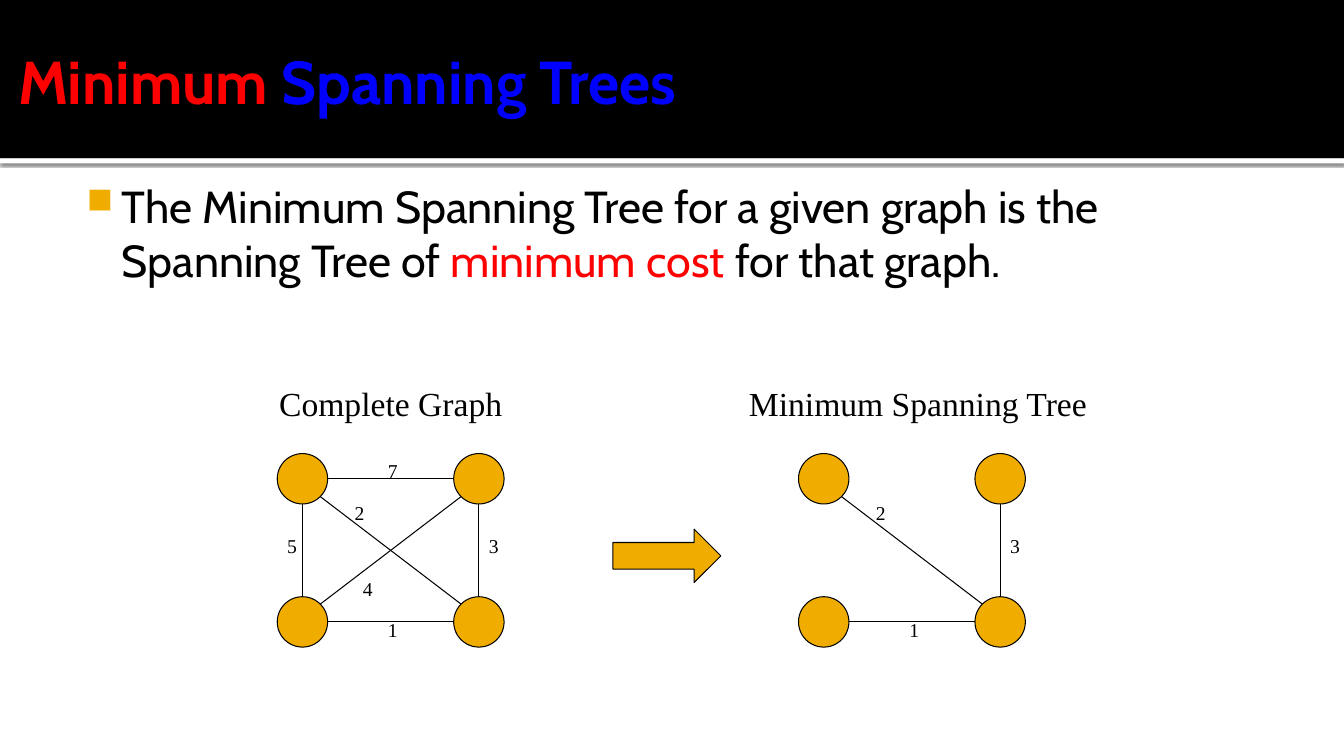
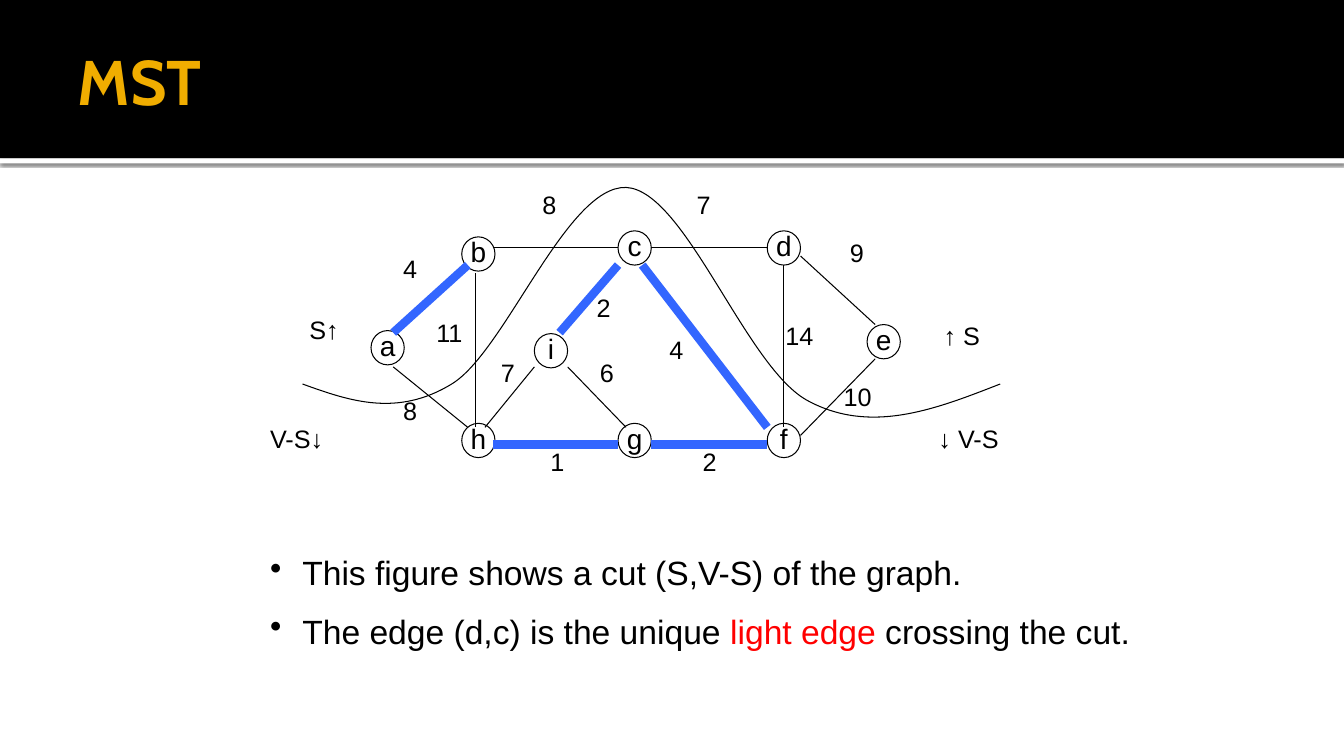
import lxml.etree
import pptx
import pptx.dml.color
import pptx.enum.shapes
import pptx.enum.text
import pptx.oxml.ns
import pptx.util

Inches = pptx.util.Inches
Pt = pptx.util.Pt
RGBColor = pptx.dml.color.RGBColor
SHAPE = pptx.enum.shapes.MSO_SHAPE
ANCHOR = pptx.enum.text.MSO_ANCHOR
ALIGN = pptx.enum.text.PP_ALIGN
AUTO_SIZE = pptx.enum.text.MSO_AUTO_SIZE
qn = pptx.oxml.ns.qn

BLACK = RGBColor(0x00, 0x00, 0x00)
WHITE = RGBColor(0xFF, 0xFF, 0xFF)
GOLD = RGBColor(0xF0, 0xAD, 0x00)
RED = RGBColor(0xFF, 0x00, 0x00)
BLUE = RGBColor(0x00, 0x00, 0xFF)
EDGE_BLUE = RGBColor(0x33, 0x66, 0xFF)

TITLE_FONT = "Cabin"
SERIF = "Times New Roman"
SANS = "Arial"

NODE_SIZE = 0.5
SQUARE_NODES = [(0, 0), (1.75, 0), (0, 1.42), (1.75, 1.42)]
SQUARE_EDGES = [
    (0, 1, "7", 1, 0),
    (0, 2, "5", 0, 0.75),
    (2, 3, "1", 1, 1.58),
    (1, 3, "3", 2, 0.75),
    (1, 2, "4", 0.75, 1.17),
    (0, 3, "2", 0.67, 0.42),
]

CUT_NODES = {
    "a": (1.18, 1.48), "b": (2.08, 0.55), "h": (2.08, 2.4),
    "c": (3.63, 0.49), "d": (5.11, 0.49), "e": (6.1, 1.42),
    "f": (5.11, 2.4), "g": (3.63, 2.4), "i": (2.8, 1.51),
}
TREE_EDGES = [
    (1.4, 1.5, 2.14, 0.83, "4", 1.4, 0.66),
    (2.39, 2.61, 3.63, 2.61, "1", 2.86, 2.58),
    (3.96, 2.61, 5.11, 2.61, "2", 4.37, 2.58),
    (3.87, 0.83, 5.11, 2.44, "4", 4.04, 1.47),
    (3.05, 1.5, 3.63, 0.83, "2", 3.32, 1.05),
]
OTHER_EDGES = [
    (1.4, 1.84, 2.14, 2.44, "8", 1.4, 2.07),
    (2.22, 0.91, 2.22, 2.44, "11", 1.73, 1.3),
    (2.39, 0.66, 3.63, 0.66, "8", 2.78, 0.03),
    (3.96, 0.66, 5.11, 0.66, "7", 4.31, 0.03),
    (5.27, 0.83, 5.27, 2.44, "14", 5.19, 1.33),
    (5.44, 0.74, 6.18, 1.42, "9", 5.83, 0.51),
    (5.44, 2.52, 6.18, 1.76, "10", 5.77, 1.93),
    (3.13, 1.84, 3.71, 2.44, "6", 3.35, 1.7),
    (2.31, 2.44, 2.8, 1.84, "7", 2.37, 1.7),
]
SIDE_LABELS = [
    ("S↑", 0.47, 1.27, 0.75),
    ("V-S↓", 0.08, 2.35, 1.12),
    ("↑ S", 6.76, 1.33, 0.67),
    ("↓ V-S", 6.71, 2.35, 1.04),
]
CUT_CURVE = [
    (0.5, 2.01),
    (0.97, 2.18), (1.44, 2.34), (1.98, 2.01),
    (2.51, 1.69), (3.12, 0.04), (3.71, 0.06),
    (4.3, 0.09), (4.9, 1.86), (5.52, 2.18),
    (6.14, 2.51), (6.78, 2.26), (7.42, 2.01),
]


def add_element(parent, tag, **attrs):
    """Append a drawing element with the given attributes."""
    el = lxml.etree.SubElement(parent, qn(tag))
    for name, value in attrs.items():
        el.set(name, str(value))
    return el


def add_shape(s, kind, left, top, width, height, fill=None, line=BLACK):
    """Add a flat preset shape with an optional fill and thin outline."""
    sp = s.shapes.add_shape(kind, Inches(left), Inches(top), Inches(width), Inches(height))
    sp.shadow.inherit = False
    if fill is None:
        sp.fill.background()
    else:
        sp.fill.solid()
        sp.fill.fore_color.rgb = fill
    if line is None:
        sp.line.fill.background()
    else:
        sp.line.color.rgb = line
        sp.line.width = Pt(0.75)
    return sp


def add_line(s, x1, y1, x2, y2, color=BLACK, width=0.75):
    """Add a straight edge between two points."""
    line = s.shapes.add_connector(
        pptx.enum.shapes.MSO_CONNECTOR.STRAIGHT,
        Inches(x1), Inches(y1), Inches(x2), Inches(y2))
    line.line.color.rgb = color
    line.line.width = Pt(width)
    add_element(line.element.spPr, "a:effectLst")


def set_font(p, name, size, color=BLACK, bold=False):
    """Format a whole paragraph."""
    p.font.name = name
    p.font.size = Pt(size)
    p.font.bold = bold
    p.font.color.rgb = color


def add_runs(p, runs):
    """Add (text, colour) runs to a paragraph."""
    for text, color in runs:
        r = p.add_run()
        r.text = text
        r.font.color.rgb = color


def add_label(s, text, left, top, width, height, font, size):
    """Add a one-line label that grows with its text."""
    tf = s.shapes.add_textbox(Inches(left), Inches(top), Inches(width), Inches(height)).text_frame
    tf.word_wrap = False
    tf.auto_size = AUTO_SIZE.SHAPE_TO_FIT_TEXT
    p = tf.paragraphs[0]
    p.text = text
    set_font(p, font, size)


def add_bullet(p, char, margin, hanging, color=None, percent=100):
    """Give a paragraph a bullet and a hanging indent."""
    pPr = p._p.get_or_add_pPr()
    pPr.set("marL", str(Inches(margin)))
    pPr.set("indent", str(-Inches(hanging)))
    if color is not None:
        add_element(add_element(pPr, "a:buClr"), "a:srgbClr", val=color)
    add_element(pPr, "a:buSzPct", val=percent * 1000)
    add_element(pPr, "a:buChar", char=char)


def move_bands_to_master(prs, s):
    """Draw the header band and its shadowed rule, and keep them on the master."""
    rule = add_shape(s, SHAPE.RECTANGLE, 0, 1.57, 13.33, 0.05, WHITE, None)
    effects = rule.element.spPr.find(qn("a:effectLst"))
    shadow = add_element(effects, "a:outerShdw", blurRad=Pt(2.5), dist=Pt(0.8),
                         dir=5400000, algn="t", rotWithShape=0)
    add_element(add_element(shadow, "a:srgbClr", val=BLACK), "a:alpha", val=60000)
    band = add_shape(s, SHAPE.RECTANGLE, 0, 0, 13.33, 1.57, BLACK, None)
    for i, sp in enumerate((rule, band)):
        sp.element.nvSpPr.cNvPr.set("id", str(20 + i))
        prs.slide_master.shapes.element.insert(2 + i, sp.element)


def add_title(s, left, size, runs):
    """Place and format the slide title in the header band."""
    title = s.shapes.title
    title.left, title.top = Inches(left), Inches(0.17)
    title.width, title.height = Inches(12), Inches(1.25)
    tf = title.text_frame
    tf.auto_size = AUTO_SIZE.NONE
    tf.vertical_anchor = ANCHOR.MIDDLE
    tf.margin_left = Inches(0.1)
    tf.margin_right = tf.margin_top = tf.margin_bottom = Inches(0.05)
    p = tf.paragraphs[0]
    p.alignment = ALIGN.LEFT
    set_font(p, TITLE_FONT, size, GOLD, True)
    add_runs(p, runs)


def add_definition(s, left, top, width, height):
    """Add the bulleted definition."""
    tf = s.shapes.add_textbox(Inches(left), Inches(top), Inches(width), Inches(height)).text_frame
    tf.word_wrap = True
    tf.margin_left = Inches(0.06)
    tf.margin_top = Inches(0.1)
    p = tf.paragraphs[0]
    add_bullet(p, "■", 0.48, 0.35, GOLD, 80)
    set_font(p, TITLE_FONT, 32)
    add_runs(p, [
        ("The Minimum Spanning Tree for a given graph is the Spanning Tree of ", BLACK),
        ("minimum cost ", RED),
        ("for that graph.", BLACK),
    ])


def add_square_graph(s, left, top, heading, heading_dx, heading_width, weights):
    """Draw a four-node graph with the edges of the given weights."""
    add_label(s, heading, left + heading_dx, top - 0.75, heading_width, 0.5, SERIF, 24)
    radius = NODE_SIZE / 2
    for dx, dy in SQUARE_NODES:
        add_shape(s, SHAPE.OVAL, left + dx, top + dy, NODE_SIZE, NODE_SIZE, GOLD)
    for start, end, weight, label_dx, label_dy in SQUARE_EDGES:
        if weight not in weights:
            continue
        (x1, y1), (x2, y2) = SQUARE_NODES[start], SQUARE_NODES[end]
        sx, sy = (x2 > x1) - (x2 < x1), (y2 > y1) - (y2 < y1)
        reach = radius * (0.5 ** 0.5 if sx and sy else 1)
        add_line(s, left + x1 + radius + sx * reach, top + y1 + radius + sy * reach,
                 left + x2 + radius - sx * reach, top + y2 + radius - sy * reach)
        add_label(s, weight, left + label_dx, top + label_dy, 0.3, 0.33, SERIF, 14)


def add_cut_curve(s, left, top):
    """Draw the smooth line of the cut."""
    points = [(Inches(left + x), Inches(top + y)) for x, y in CUT_CURVE]
    builder = s.shapes.build_freeform(*points[0])
    builder.add_line_segments(points[1:], close=False)
    curve = builder.convert_to_shape()
    curve.shadow.inherit = False
    curve.fill.background()
    curve.line.color.rgb = BLACK
    curve.line.width = Pt(0.75)
    outline = curve.element.find(".//" + qn("a:path"))
    steps = outline.findall(qn("a:lnTo"))
    for i in range(0, len(steps), 3):
        bezier = add_element(outline, "a:cubicBezTo")
        for step in steps[i:i + 3]:
            bezier.append(step[0])
            outline.remove(step)


def add_cut_graph(s, left, top):
    """Draw the weighted graph, its tree edges and the cut."""
    for name, (dx, dy) in CUT_NODES.items():
        tf = add_shape(s, SHAPE.OVAL, left + dx, top + dy, 0.33, 0.34).text_frame
        tf.word_wrap = False
        tf.vertical_anchor = ANCHOR.MIDDLE
        tf.margin_left = tf.margin_right = tf.margin_top = 0
        tf.margin_bottom = Inches(0.05)
        p = tf.paragraphs[0]
        p.text = name
        p.alignment = ALIGN.CENTER
        set_font(p, SANS, 20)
    labels = list(SIDE_LABELS)
    for edges, color, width in ((TREE_EDGES, EDGE_BLUE, 6), (OTHER_EDGES, BLACK, 0.75)):
        for x1, y1, x2, y2, weight, label_dx, label_dy in edges:
            add_line(s, left + x1, top + y1, left + x2, top + y2, color, width)
            labels.append((weight, label_dx, label_dy, 0.22 + 0.17 * len(weight)))
    add_cut_curve(s, left, top)
    for text, dx, dy, width in labels:
        add_label(s, text, left + dx, top + dy, width, 0.54, SANS, 18)


def add_cut_notes(s, left, top, width, height):
    """Add the two remarks below the graph."""
    notes = [
        [("This figure shows a cut (S,V-S) of the graph.", BLACK)],
        [("The edge (d,c) is the unique ", BLACK), ("light edge", RED),
         (" crossing the cut.", BLACK)],
    ]
    tf = s.shapes.add_textbox(Inches(left), Inches(top), Inches(width), Inches(height)).text_frame
    tf.word_wrap = True
    for i, runs in enumerate(notes):
        p = tf.add_paragraph() if i else tf.paragraphs[0]
        if i:
            p.space_before = Pt(13)
        add_bullet(p, "•", 0.32, 0.32)
        set_font(p, SANS, 24)
        add_runs(p, runs)


def main():
    """Build both slides."""
    prs = pptx.Presentation()
    prs.slide_width, prs.slide_height = Inches(13.33), Inches(7.5)
    title_only = prs.slide_layouts[5]

    s = prs.slides.add_slide(title_only)
    move_bands_to_master(prs, s)
    add_title(s, 0.08, 43.2, [("Minimum", RED), (" Spanning Trees", BLUE)])
    add_definition(s, 0.67, 1.67, 12, 1.25)
    add_square_graph(s, 2.75, 4.5, "Complete Graph", -0.08, 2.41, "123457")
    add_shape(s, SHAPE.RIGHT_ARROW, 6.08, 5.25, 1.07, 0.53, GOLD)
    add_square_graph(s, 7.92, 4.5, "Minimum Spanning Tree", -0.59, 3.57, "123")

    s = prs.slides.add_slide(title_only)
    add_title(s, 0.67, 45, [("MST", GOLD)])
    add_cut_graph(s, 2.5, 1.8)
    add_cut_notes(s, 2.58, 5.43, 9.25, 1.11)

    prs.save("out.pptx")


if __name__ == "__main__":
    main()
